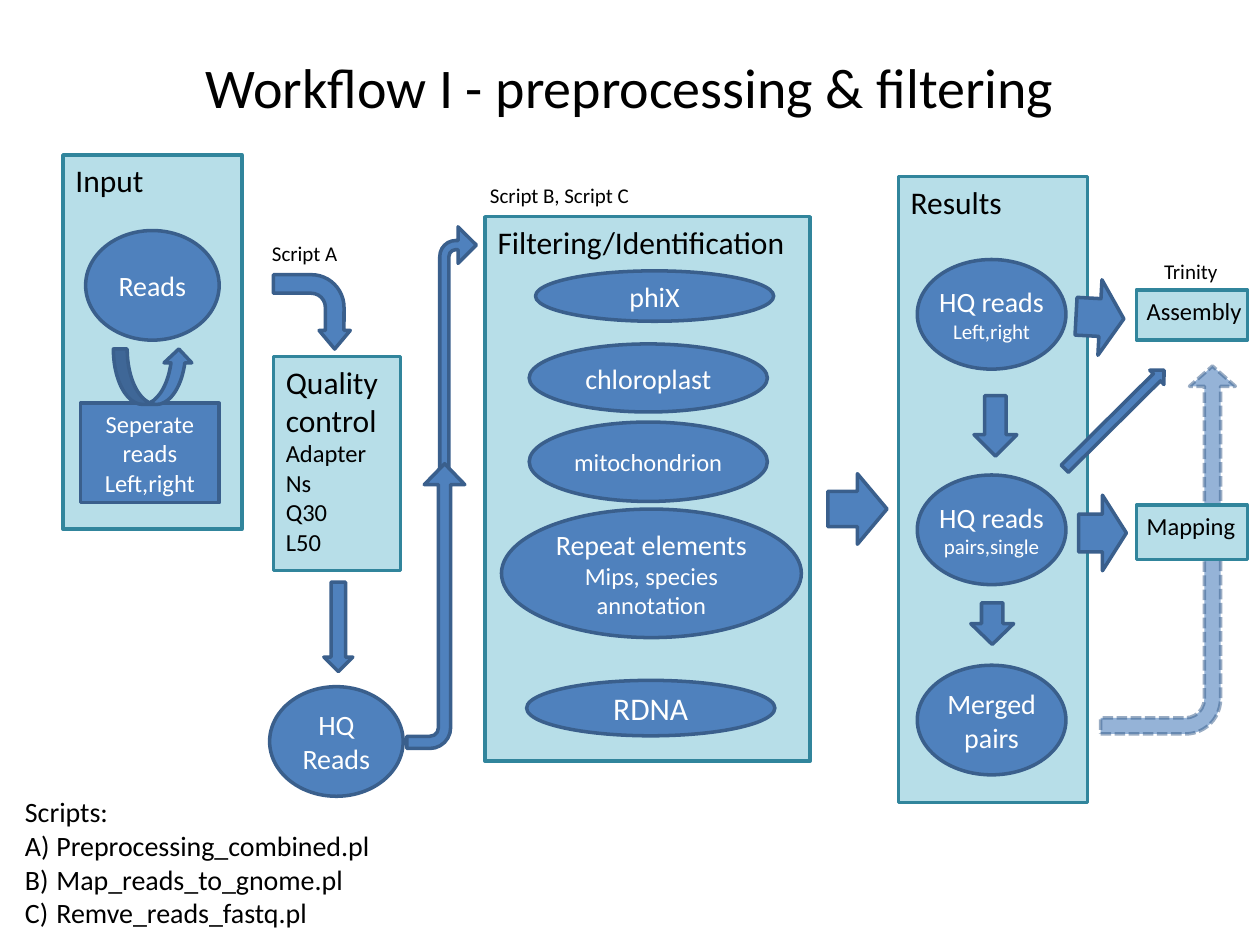
"""Build the preprocessing and filtering workflow slide."""
import pptx
import pptx.dml.color
import pptx.enum.dml
import pptx.enum.shapes
import pptx.enum.text
import pptx.oxml
import pptx.oxml.ns
import pptx.util

PX = 9144
FONT = "Calibri"
COLORS = {
    "node": "4F81BD",
    "node_line": "3A5F8C",
    "panel": "B7DEE8",
    "panel_line": "31859C",
    "dark": "000000",
    "light": "FFFFFF",
}
SHAPE = pptx.enum.shapes.MSO_SHAPE
ALIGN = pptx.enum.text.PP_ALIGN
ANCHOR = pptx.enum.text.MSO_ANCHOR


def px(*values):
    """Turn px lengths into EMU."""
    return [pptx.util.Emu(v * PX) for v in values]


def rgb(name):
    """Return a named colour."""
    return pptx.dml.color.RGBColor.from_string(COLORS[name])


def write(tf, lines, color, align):
    """Fill a text frame with (text, size) lines."""
    tf.text = "\n".join(text for text, size in lines)
    for p, (text, size) in zip(tf.paragraphs, lines):
        p.alignment = align
        for r in p.runs:
            r.font.name = FONT
            r.font.size = pptx.util.Pt(size)
            r.font.color.rgb = rgb(color)


def add_filled(slide, kind, box, style):
    """Add a preset shape with the fill and line of a style."""
    s = slide.shapes.add_shape(kind, *px(*box))
    s.shadow.inherit = False
    s.fill.solid()
    s.fill.fore_color.rgb = rgb(style)
    s.line.color.rgb = rgb(style + "_line")
    s.line.width = pptx.util.Pt(2)
    return s


def set_insets(tf, left, right):
    """Set the side margins of a text frame."""
    tf.margin_left, tf.margin_right = px(left, right)


def add_panel(slide, box, lines, insets=(10, 10)):
    """Add a light box with text at its top left."""
    tf = add_filled(slide, SHAPE.RECTANGLE, box, "panel").text_frame
    tf.vertical_anchor = ANCHOR.TOP
    set_insets(tf, *insets)
    write(tf, lines, "dark", ALIGN.LEFT)


def add_node(slide, box, lines, kind=SHAPE.OVAL, inset=0):
    """Add a dark shape with centred text."""
    tf = add_filled(slide, kind, box, "node").text_frame
    tf.vertical_anchor = ANCHOR.MIDDLE
    set_insets(tf, inset, inset)
    write(tf, lines, "light", ALIGN.CENTER)


def add_arrow(slide, kind, box, rotation=0, flip=False, adjustments=()):
    """Add a block arrow, turned and mirrored as needed."""
    s = add_filled(slide, kind, box, "node")
    s.rotation = rotation
    if flip:
        s.element.spPr.xfrm.set("flipH", "1")
    for i, value in enumerate(adjustments):
        s.adjustments[i] = value
    return s


def fade(s, fill_percent, line_percent):
    """Make the fill and line of a shape translucent."""
    fills = s.element.spPr.iter(pptx.oxml.ns.qn("a:srgbClr"))
    for color, percent in zip(list(fills), (fill_percent, line_percent)):
        alpha = pptx.oxml.parse_xml(
            f'<a:alpha {pptx.oxml.ns.nsdecls("a")} val="{percent * 1000}"/>')
        color.append(alpha)


def add_label(slide, box, lines):
    """Add a plain text box and return its text frame."""
    tf = slide.shapes.add_textbox(*px(*box)).text_frame
    tf.word_wrap = False
    write(tf, lines, "dark", ALIGN.LEFT)
    return tf


def letter(p):
    """Number a paragraph with a capital letter."""
    pPr = p._p.get_or_add_pPr()
    pPr.set("marL", str(25 * PX))
    pPr.set("indent", str(-25 * PX))
    pPr.append(pptx.oxml.parse_xml(
        f'<a:buAutoNum {pptx.oxml.ns.nsdecls("a")} type="alphaUcParenR"/>'))


def add_title(slide, text):
    """Place and format the slide title."""
    s = slide.shapes.title
    s.left, s.top, s.width, s.height = px(50, 30, 900, 77)
    s.text_frame.vertical_anchor = ANCHOR.MIDDLE
    write(s.text_frame, [(text, 32)], "dark", ALIGN.CENTER)


def add_mapping_arrow(slide):
    """Add the translucent dashed arrow from merged pairs to assembly."""
    s = add_arrow(slide, SHAPE.BENT_ARROW, (781, 383, 292, 107), 90, True,
                  (0.12, 0.17, 0.15, 0.26))
    s.line.dash_style = pptx.enum.dml.MSO_LINE.SQUARE_DOT
    fade(s, 60, 51)


def add_panels(slide):
    """Add the stages of the workflow."""
    add_panel(slide, (50, 123, 142, 297), [("Input", 18)])
    add_panel(slide, (217, 283, 101, 170),
              [("Quality control", 18)]
              + [(text, 14) for text in ("Adapter", "Ns", "Q30", "L50")])
    add_panel(slide, (385, 172, 258, 432), [("Filtering/Identification", 18)])
    add_panel(slide, (713, 140, 150, 497), [("Results", 18)])
    add_panel(slide, (902, 230, 88, 40), [("Assembly", 14)], (8, 0))
    add_panel(slide, (902, 401, 88, 43), [("Mapping", 14)], (8, 0))


def add_nodes(slide):
    """Add the data sets and filters inside the stages."""
    add_node(slide, (64, 320, 110, 79),
             [("Seperate reads", 14), ("Left,right", 14)], SHAPE.RECTANGLE, 10)
    for left, top, text in ((68, 183, "Reads"), (214, 545, "HQ Reads")):
        add_node(slide, (left, top, 106, 87), [(text, 16)])
    filters = [
        ((425, 215, 189, 40), [("phiX", 16)]),
        ((420, 273, 189, 54), [("chloroplast", 16)]),
        ((420, 335, 189, 63), [("mitochondrion", 14)]),
        ((398, 404, 238, 102),
         [("Repeat elements", 16), ("Mips, species annotation", 14)]),
        ((418, 540, 197, 44), [("RDNA", 18)]),
    ]
    for box, lines in filters:
        add_node(slide, box, lines)
    results = [
        (206, [("HQ reads", 16), ("Left,right", 12)]),
        (377, [("HQ reads", 16), ("pairs,single", 12)]),
        (528, [("Merged pairs", 16)]),
    ]
    for top, lines in results:
        add_node(slide, (728, top, 118, 87), lines)


def add_arrows(slide):
    """Add the arrows between the stages."""
    arrows = [
        (SHAPE.RIGHT_ARROW, (657, 376, 47, 56), 0),
        (SHAPE.RIGHT_ARROW, (233, 486, 71, 23), 90),
        (SHAPE.RIGHT_ARROW, (766, 321, 48, 34), 90),
        (SHAPE.RIGHT_ARROW, (771, 478, 33, 34), 90),
        (SHAPE.RIGHT_ARROW, (829, 325, 111, 16), 315.2),
        (SHAPE.DOWN_ARROW, (845, 404, 60, 38), 270),
        (SHAPE.DOWN_ARROW, (843, 233, 60, 38), 273.1),
        (SHAPE.CURVED_UP_ARROW, (90, 277, 63, 44), 0),
    ]
    for kind, box, rotation in arrows:
        add_arrow(slide, kind, box, rotation)
    bends = [
        ((218, 217, 59, 61), 90, False, (0.25, 0.21, 0.25, 0.44)),
        ((349, 180, 29, 208), 0, False, (0.25, 0.5, 0.5, 0.44)),
        ((233, 458, 226, 46), 90, True, (0.21, 0.35, 0.36, 0.36)),
    ]
    for box, rotation, flip, adjustments in bends:
        add_arrow(slide, SHAPE.BENT_ARROW, box, rotation, flip, adjustments)


def add_labels(slide):
    """Add the script labels and the script list."""
    add_label(slide, (206, 186, 73, 30), [("Script A", 12)])
    add_label(slide, (379, 140, 131, 30), [("Script B, Script C", 12)])
    add_label(slide, (914, 200, 63, 30), [("Trinity", 12)])
    scripts = ("Scripts:", "Preprocessing_combined.pl",
               "Map_reads_to_gnome.pl", "Remve_reads_fastq.pl")
    tf = add_label(slide, (10, 626, 297, 118), [(text, 16) for text in scripts])
    for p in tf.paragraphs[1:]:
        letter(p)


def main():
    """Build and save the slide."""
    prs = pptx.Presentation()
    prs.slide_width, prs.slide_height = px(1000, 750)
    slide = prs.slides.add_slide(prs.slide_layouts[5])
    add_title(slide, "Workflow I - preprocessing & filtering")
    add_mapping_arrow(slide)
    add_panels(slide)
    add_nodes(slide)
    add_arrows(slide)
    add_labels(slide)
    prs.save("out.pptx")


if __name__ == "__main__":
    main()
